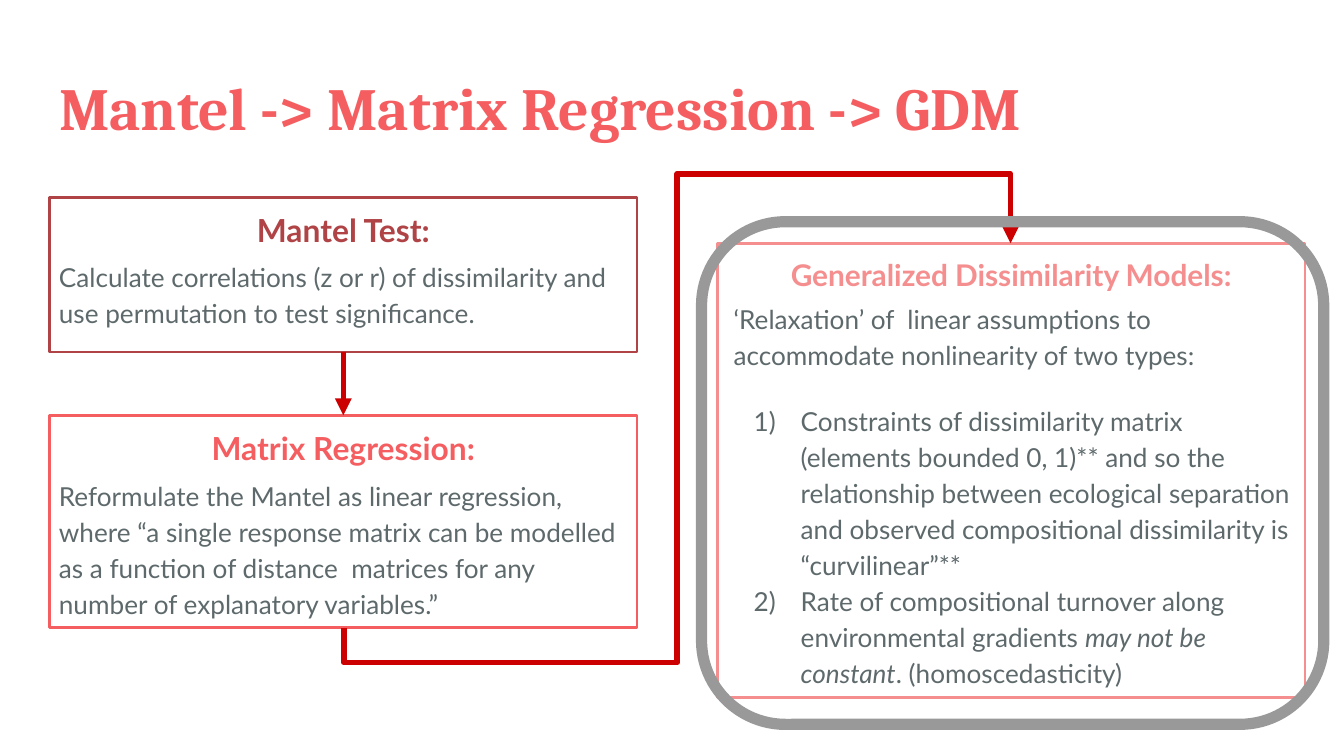
from lxml.etree import SubElement
from pptx import Presentation
from pptx.dml.color import RGBColor
from pptx.enum.shapes import MSO_CONNECTOR, MSO_SHAPE
from pptx.enum.text import MSO_ANCHOR, MSO_AUTO_SIZE, PP_ALIGN
from pptx.oxml.ns import qn
from pptx.util import Inches, Pt

COLORS = {"title": "F55E61", "body": "5E696C", "mantel": "AF4345", "matrix": "F55E61",
          "gdm": "F58F8F", "arrow": "CC0000", "frame": "999999"}


def style(par, size, color, bold=False, face="Lato"):
    font = par.font
    font.name, font.size, font.bold = face, Pt(size), bold
    font.color.rgb = RGBColor.from_string(COLORS[color])


def setup(frame):
    """Wrap text from the top of its frame, with equal insets."""
    frame.word_wrap = True
    frame.auto_size = MSO_AUTO_SIZE.NONE
    frame.vertical_anchor = MSO_ANCHOR.TOP
    frame.margin_left = frame.margin_right = Inches(0.1)
    frame.margin_top = frame.margin_bottom = Inches(0.1)


prs = Presentation()
prs.slide_width = Inches(10)
prs.slide_height = prs.slide_width * 9 // 16
slide = prs.slides.add_slide(prs.slide_layouts[5])
shapes = slide.shapes
wide = Inches(4.37)

# Title
title = shapes.title
title.left, title.top = Inches(0.34), Inches(0.43)
title.width, title.height = Inches(9.32), Inches(0.68)
setup(title.text_frame)
par = title.text_frame.paragraphs[0]
par.text = "Mantel -> Matrix Regression -> GDM"
par.alignment = PP_ALIGN.LEFT
style(par, 32, "title", True, "Cambria")

# Body texts: a list of runs per paragraph, all but the first are numbered
bodies = [
    (0.34, 3.44, 1.23, [["Reformulate the Mantel as linear regression, where “a single response matrix "
                         "can be modelled as a function of distance  matrices for any number of "
                         "explanatory variables.”"]]),
    (5.36, 2.12, 3.08, [["‘Relaxation’ of  linear assumptions to accommodate nonlinearity of two types:"],
                        ["Constraints of dissimilarity matrix (elements bounded 0, 1)** and so the "
                         "relationship between ecological separation and observed compositional "
                         "dissimilarity is “curvilinear”**"],
                        ["Rate of compositional turnover along environmental gradients ",
                         "may not be constant", ". (homoscedasticity)"]]),
    (0.34, 1.81, 0.75, [["Calculate correlations (z or r) of dissimilarity and use permutation "
                         "to test significance."]]),
]
for left, top, height, pars in bodies:
    frame = shapes.add_textbox(Inches(left), Inches(top), wide, Inches(height)).text_frame
    setup(frame)
    for num, runs in enumerate(pars):
        par = frame.add_paragraph() if num else frame.paragraphs[0]
        par.line_spacing = 1.15
        if num:
            par.space_before = Pt(16 if num == 1 else 0)
            props = par._p.get_or_add_pPr()
            props.set("marL", str(Inches(0.5)))
            props.set("indent", str(Inches(-0.35)))
            tint = SubElement(props, qn("a:buClr"))
            SubElement(tint, qn("a:srgbClr"), val=COLORS["body"])
            SubElement(props, qn("a:buAutoNum"), type="arabicParenR")
        style(par, 14, "body")
        for place, text in enumerate(runs):
            run = par.add_run()
            run.text = text
            if place == 1:
                run.font.italic = True

# Headed boxes
boxes = []
for left, top, height, head, size, color in [
    (0.37, 1.47, 1.15, "Mantel Test:", 17, "mantel"),
    (0.37, 3.09, 1.58, "Matrix Regression:", 17, "matrix"),
    (5.34, 1.81, 3.38, "Generalized Dissimilarity Models:", 16, "gdm"),
]:
    box = shapes.add_shape(MSO_SHAPE.RECTANGLE, Inches(left), Inches(top), wide, Inches(height))
    box.shadow.inherit = False
    box.fill.background()
    box.line.color.rgb = RGBColor.from_string(COLORS[color])
    box.line.width = Pt(1.5)
    setup(box.text_frame)
    par = box.text_frame.paragraphs[0]
    par.text = head
    par.alignment = PP_ALIGN.CENTER
    style(par, size, color, True)
    boxes.append(box)

# Arrows from each box to the next
mantel, matrix, gdm = boxes
for kind, start, end in [(MSO_CONNECTOR.STRAIGHT, mantel, matrix), (MSO_CONNECTOR.ELBOW, matrix, gdm)]:
    arrow = shapes.add_connector(kind, 0, 0, 0, 0)
    arrow.begin_connect(start, 2)
    arrow.end_connect(end, 0)
    arrow.line.color.rgb = RGBColor.from_string(COLORS["arrow"])
    arrow.line.width = Pt(3)
    SubElement(arrow.line._get_or_add_ln(), qn("a:tailEnd"), type="triangle")
    SubElement(arrow._element.spPr, qn("a:effectLst"))

# The second arrow runs below its start and above its end: five legs, turned upright
props = arrow._element.spPr
turn = props.find(qn("a:xfrm"))
turn.attrib.clear()
turn.set("rot", str(270 * 60000))
arrow.left, arrow.top = Inches(3.61), Inches(0.76)
arrow.width, arrow.height = Inches(2.86), Inches(4.96)
geom = props.find(qn("a:prstGeom"))
geom.set("prst", "bentConnector5")
guides = geom.find(qn("a:avLst"))
if guides is None:
    guides = SubElement(geom, qn("a:avLst"))
for num, value in enumerate([-9100, 50000, 118100], 1):
    SubElement(guides, qn("a:gd"), name=f"adj{num}", fmla=f"val {value}")

# Frame around the models
ring = shapes.add_shape(MSO_SHAPE.ROUNDED_RECTANGLE, Inches(5.22), Inches(1.65), Inches(4.63), Inches(3.74))
ring.shadow.inherit = False
ring.fill.background()
ring.line.color.rgb = RGBColor.from_string(COLORS["frame"])
ring.line.width = Pt(6)

prs.save("out.pptx")
